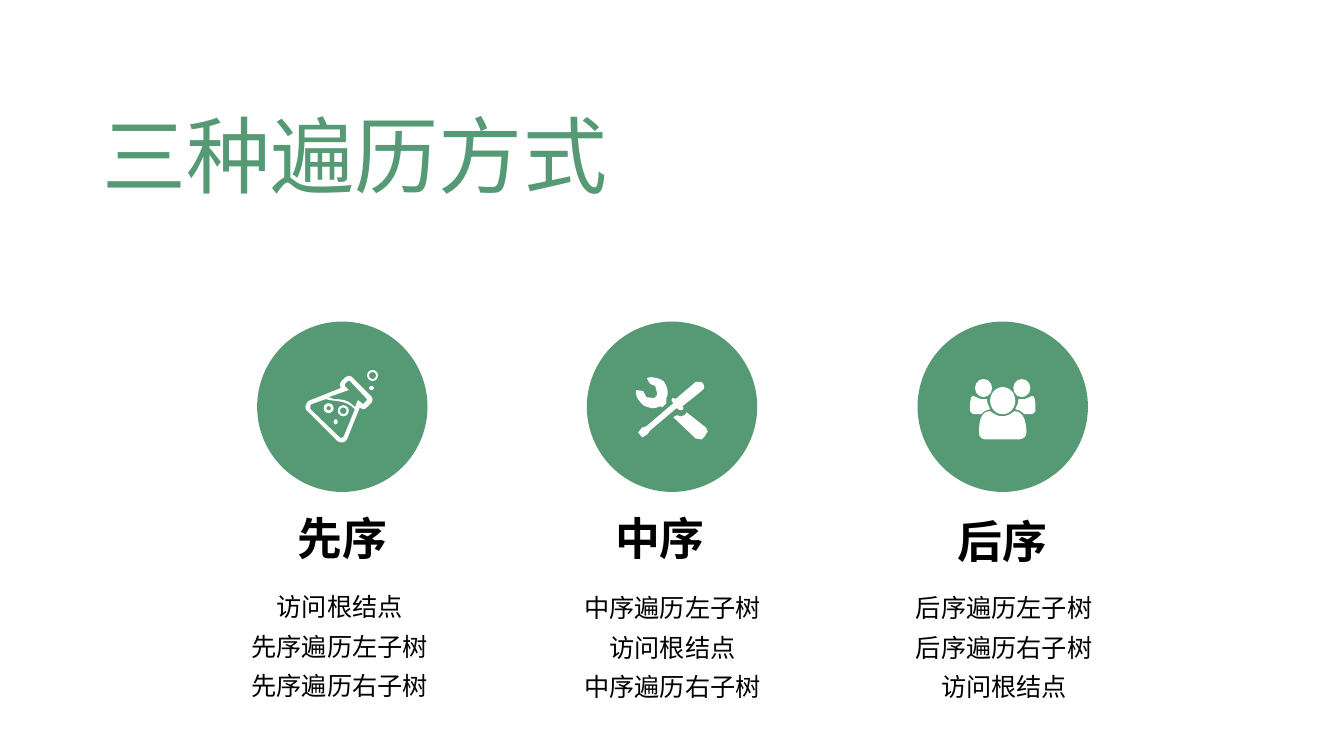
import pptx
import pptx.dml.color
import pptx.enum.shapes
import pptx.enum.text
import pptx.util

PX = 9144  # 100 px to the inch
FINE = 10  # outline steps per px
GREEN, WHITE, BLACK = "559A75", "FFFFFF", "000000"
CIRCLE = 169
SHAPE = pptx.enum.shapes.MSO_SHAPE
ALIGN = pptx.enum.text.PP_ALIGN
ANCHOR = pptx.enum.text.MSO_ANCHOR
AUTO_SIZE = pptx.enum.text.MSO_AUTO_SIZE

# Outlines inside a circle's box: pairs are corners, sextets are Bézier curves
FLASK = [
    [(95, 56), (94, 55, 93, 54, 91, 54), (90, 54, 88, 55, 87, 56), (84, 59),
     (83, 60, 82, 62, 82, 63), (82, 64, 83, 65, 83, 66), (53, 78),
     (50, 79, 49, 81, 48, 84), (48, 85, 48, 88, 50, 89), (79, 118),
     (80, 119, 82, 120, 84, 120), (87, 120, 89, 118, 90, 115), (102, 85),
     (103, 86, 104, 87, 105, 87), (107, 87, 108, 86, 109, 85), (113, 81),
     (115, 79, 115, 76, 113, 74)],
    [(86, 114), (85, 115, 83, 116, 82, 115), (53, 87), (53, 86, 52, 83, 54, 82),
     (68, 77), (78, 80, 87, 77, 97, 87)],
    [(109, 78), (106, 81), (105, 82, 105, 82, 104, 81), (100, 78), (97, 85),
     (91, 78, 84, 77, 77, 77), (75, 77, 74, 76, 71, 75), (91, 68), (87, 64),
     (87, 64, 87, 63, 87, 62), (90, 59), (91, 59, 91, 59, 92, 59), (109, 77)],
]
TOOLS = [
    [(99, 90), (118, 105), (120, 109), (117, 114), (114, 117), (108, 116),
     (86, 95), (89, 93), (91, 93, 92, 94, 93, 94), (95, 94, 96, 93, 98, 92)],
    [(112, 60), (113, 60, 114, 60, 115, 61), (117, 64, 117, 66, 115, 68),
     (95, 84), (96, 85, 96, 87, 95, 88), (94, 88, 91, 88, 91, 87), (89, 86),
     (63, 108), (60, 112), (55, 115), (51, 110), (55, 105), (59, 104), (86, 81),
     (85, 80), (84, 79, 84, 77, 85, 76), (86, 76, 87, 76, 88, 77), (108, 60)],
    [(68, 56), (71, 56, 74, 58, 76, 59), (79, 63, 81, 68, 80, 74),
     (79, 75, 79, 76, 79, 77), (79, 81), (75, 85), (73, 84),
     (68, 87, 61, 86, 56, 83), (51, 78, 48, 74, 49, 68), (56, 69), (59, 75),
     (67, 76), (69, 74), (70, 72), (68, 64), (63, 62), (63, 62, 59, 56, 60, 56),
     (63, 55, 65, 55, 68, 56)],
]
SIDE_BODY = [
    (63, 92), (58, 92), (55, 92, 52, 91, 52, 87), (52, 83, 52, 74, 55, 74),
    (57, 74, 61, 77, 64, 77), (69, 77), (69, 82, 71, 84, 72, 87),
    (68, 88, 66, 89, 63, 92)]
FRONT_BODY = [
    (99, 117), (69, 117), (64, 117, 61, 115, 61, 110), (61, 101, 62, 89, 72, 89),
    (73, 89, 77, 94, 84, 94), (91, 94, 96, 89, 96, 89),
    (106, 89, 108, 101, 108, 110), (108, 115, 104, 117, 99, 117)]


def colour(value):
    return pptx.dml.color.RGBColor.from_string(value)


def paint(shape, fill):
    shape.shadow.inherit = False
    shape.fill.solid()
    shape.fill.fore_color.rgb = colour(fill)
    shape.line.fill.background()


def place(shape, left, top, width, height):
    shape.left, shape.top = left * PX, top * PX
    shape.width, shape.height = width * PX, height * PX


def add_preset(slide, kind, left, top, width, height, fill=WHITE):
    shape = slide.shapes.add_shape(kind, left * PX, top * PX, width * PX, height * PX)
    paint(shape, fill)
    return shape


def trace(contour, steps=8):
    """Turn corners and curves into closely spaced points."""
    points = [contour[0]]
    for part in contour[1:]:
        if len(part) == 2:
            points.append(part)
            continue
        x0, y0 = points[-1]
        x1, y1, x2, y2, x3, y3 = part
        for step in range(1, steps + 1):
            t = step / steps
            a, b, c, d = (1 - t) ** 3, 3 * t * (1 - t) ** 2, 3 * t * t * (1 - t), t ** 3
            points.append((a * x0 + b * x1 + c * x2 + d * x3,
                           a * y0 + b * y1 + c * y2 + d * y3))
    return [(x * FINE, y * FINE) for x, y in points]


def add_outline(slide, left, top, contours):
    builder = None
    for contour in contours:
        first, *rest = trace(contour)
        if builder is None:
            builder = slide.shapes.build_freeform(*first, scale=PX / FINE)
        else:
            builder.move_to(*first)
        builder.add_line_segments(rest, close=True)
    paint(builder.convert_to_shape(left * PX, top * PX), WHITE)


def mirror(contour):
    return [tuple(CIRCLE - n if i % 2 == 0 else n for i, n in enumerate(part))
            for part in contour]


# Icons, each placed in its circle's box
def draw_flask(slide, left, top):
    add_outline(slide, left, top, FLASK)
    for x, y, size, rim in [(80, 83, 11, 0.2), (109, 48, 11, 0.18), (66, 81, 10, 0.28)]:
        ring = add_preset(slide, SHAPE.DONUT, left + x, top + y, size, size)
        ring.adjustments[0] = rim
    for x, y, width, height in [(76, 97, 4, 5), (111, 64, 5, 4)]:
        add_preset(slide, SHAPE.OVAL, left + x, top + y, width, height)


def draw_tools(slide, left, top):
    add_outline(slide, left, top, TOOLS)


def draw_people(slide, left, top):
    add_outline(slide, left, top, [SIDE_BODY, FRONT_BODY, mirror(SIDE_BODY)])
    for x, y, width, height in [(57, 57, 17, 18), (72, 65, 25, 27), (95, 57, 17, 18)]:
        add_preset(slide, SHAPE.OVAL, left + x, top + y, width, height)


# Text
def add_line(para, text, size, font, fill, bold=False, spacing=None, align=ALIGN.CENTER):
    para.alignment = align
    if spacing:
        para.line_spacing = spacing
    span = para.add_run()
    span.text = text
    span.font.size = pptx.util.Pt(size)
    span.font.name = font
    span.font.bold = bold
    span.font.color.rgb = colour(fill)


def add_text(slide, left, top, width, height, lines, wrap=True, **style):
    box = slide.shapes.add_textbox(left * PX, top * PX, width * PX, height * PX)
    frame = box.text_frame
    frame.word_wrap = wrap
    frame.auto_size = AUTO_SIZE.SHAPE_TO_FIT_TEXT
    for index, line in enumerate(lines):
        para = frame.add_paragraph() if index else frame.paragraphs[0]
        add_line(para, line, font="Calibri", fill=BLACK, **style)


def fill_title(slide, left, top, width, height, text):
    title = slide.shapes.title
    place(title, left, top, width, height)
    frame = title.text_frame
    frame.auto_size = AUTO_SIZE.NONE
    frame.vertical_anchor = ANCHOR.MIDDLE
    add_line(frame.paragraphs[0], text, 60, "Roboto Condensed", GREEN,
             spacing=0.9, align=ALIGN.LEFT)


def add_order(slide, left, top, draw_icon, name, name_at, steps, steps_at):
    """One traversal order: icon circle, name and its three steps."""
    add_preset(slide, SHAPE.OVAL, left, top, CIRCLE, CIRCLE, GREEN)
    draw_icon(slide, left, top)
    add_text(slide, left + name_at[0], top + name_at[1], 109, 64, [name],
             wrap=False, size=32, bold=True)
    add_text(slide, left + steps_at[0], top + steps_at[1], 236, 127, steps,
             size=18, spacing=1.3)


ORDERS = [
    (draw_flask, "先序", (30, 183),
     ["访问根结点", "先序遍历左子树", "先序遍历右子树"], (-36, 254)),
    (draw_tools, "中序", (18, 183),
     ["中序遍历左子树", "访问根结点", "中序遍历右子树"], (-33, 255)),
    (draw_people, "后序", (30, 186),
     ["后序遍历左子树", "后序遍历右子树", "访问根结点"], (-32, 255)),
]


def main():
    deck = pptx.Presentation()
    deck.slide_width, deck.slide_height = 1333 * PX, 750 * PX
    slide = deck.slides.add_slide(deck.slide_layouts[5])
    fill_title(slide, 92, 75, 1150, 169, "三种遍历方式")
    for index, order in enumerate(ORDERS):
        add_order(slide, 255 + 655 * index // 2, 319, *order)
    deck.save("out.pptx")


if __name__ == "__main__":
    main()
